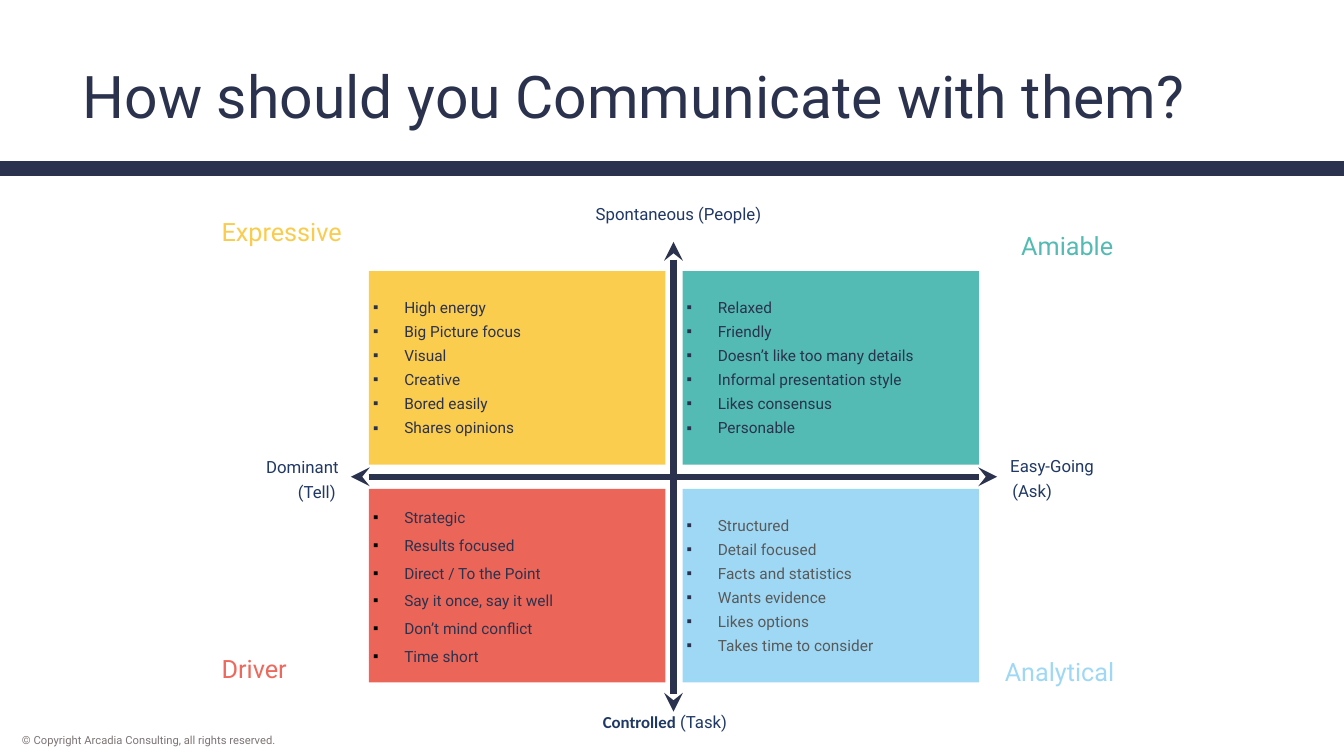
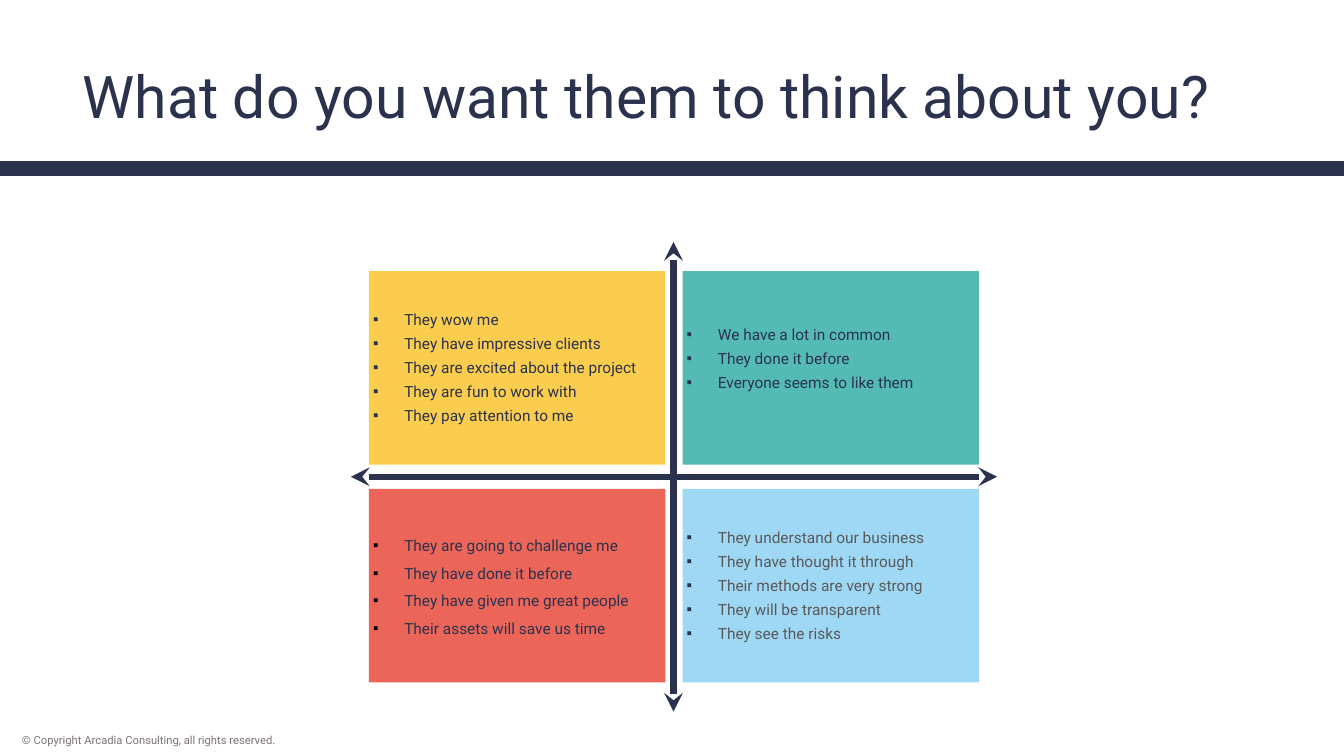
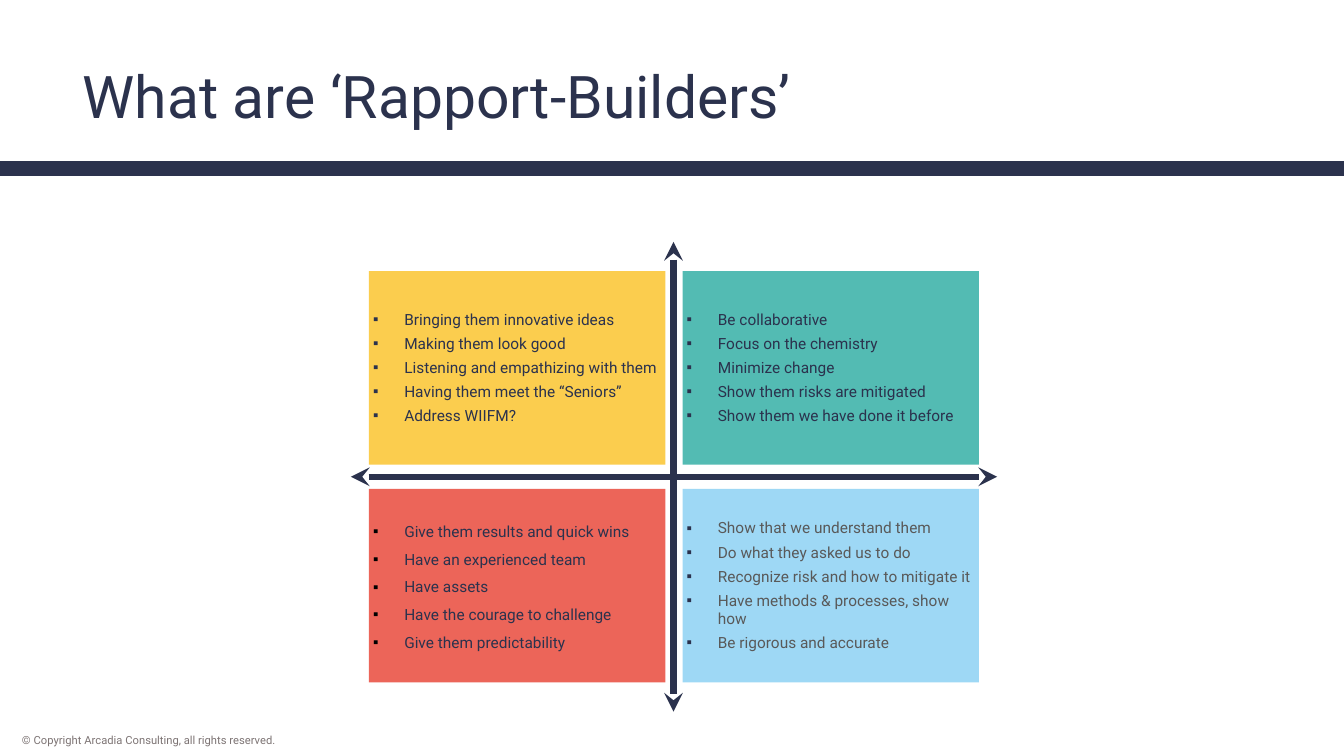
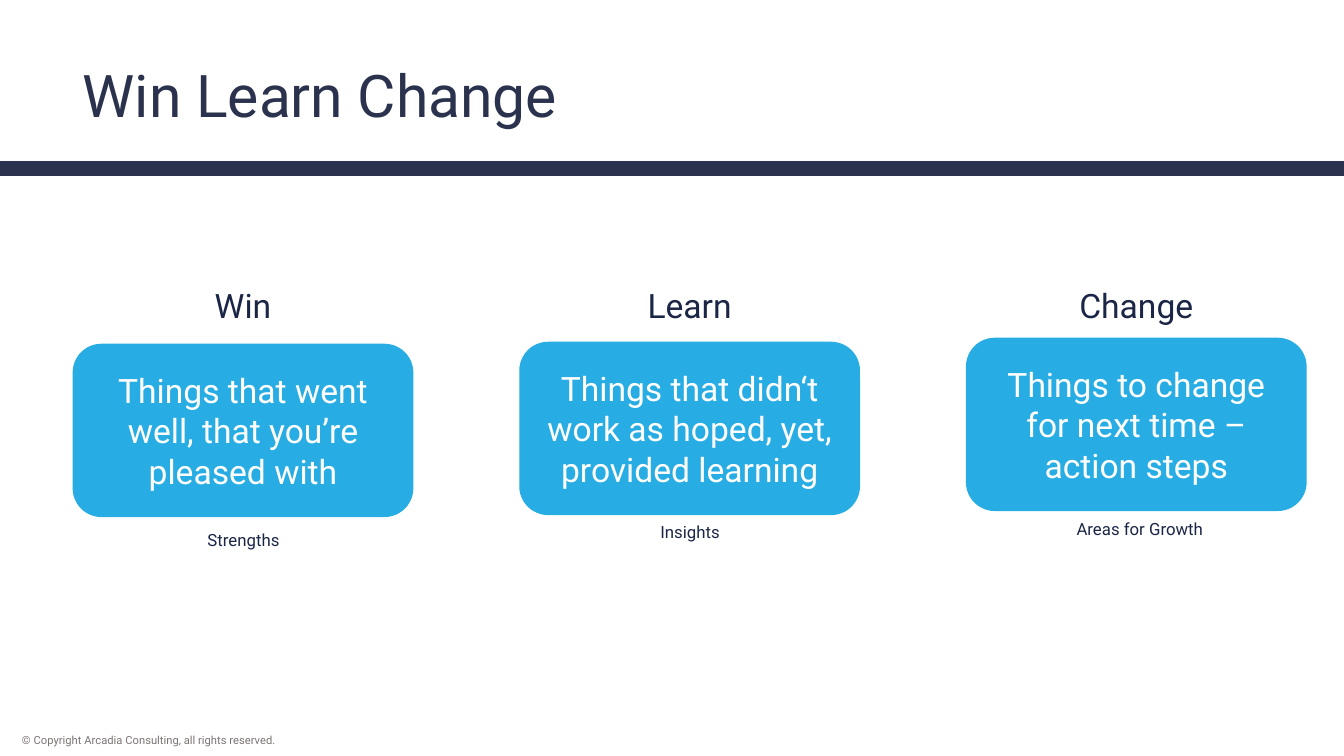
from lxml.etree import SubElement
from pptx import Presentation
from pptx.dml.color import RGBColor
from pptx.enum.shapes import MSO_CONNECTOR, MSO_SHAPE
from pptx.enum.text import MSO_ANCHOR, MSO_AUTO_SIZE, PP_ALIGN
from pptx.oxml.ns import qn
from pptx.util import Pt

SCALE = 9144  # EMU in one px, 100 px to the inch
WIDE, HIGH = 1333, 750
FACE = "Roboto"
NAVY, INK, AXIS, GREY = "2B324D", "1B2646", "203864", "595959"
LEFT, MID, RIGHT = PP_ALIGN.LEFT, PP_ALIGN.CENTER, PP_ALIGN.RIGHT

# fill, text colour, bullet colour, line spacing, space before, bottom inset
QUADS = [
    ("FBCD4E", NAVY, NAVY, 1, 4, 5),
    ("53BBB3", NAVY, NAVY, 1, 4, 5),
    ("EC6559", NAVY, "000000", 1.5, 0, 11),
    ("9ED8F5", GREY, NAVY, 1, 4, 5),
]

STYLES = [
    ["High energy", "Big Picture focus", "Visual", "Creative",
     "Bored easily", "Shares opinions"],
    ["Relaxed", "Friendly", "Doesn’t like too many details",
     "Informal presentation style", "Likes consensus", "Personable"],
    ["Strategic", "Results focused", "Direct / To the Point",
     "Say it once, say it well", "Don’t mind conflict", "Time short"],
    ["Structured", "Detail focused", "Facts and statistics",
     "Wants evidence", "Likes options", "Takes time to consider"],
]
VIEWS = [
    ["They wow me", "They have impressive clients",
     "They are excited about the project", "They are fun to work with",
     "They pay attention to me"],
    ["We have a lot in common", "They done it before",
     "Everyone seems to like them"],
    ["They are going to challenge me", "They have done it before",
     "They have given me great people", "Their assets will save us time"],
    ["They understand our business", "They have thought it through",
     "Their methods are very strong", "They will be transparent",
     "They see the risks"],
]
BONDS = [
    ["Bringing them innovative ideas", "Making them look good",
     "Listening and empathizing with them", "Having them meet the “Seniors”",
     "Address WIIFM?"],
    ["Be collaborative", "Focus on the chemistry", "Minimize change",
     "Show them risks are mitigated", "Show them we have done it before"],
    ["Give them results and quick wins", "Have an experienced team",
     "Have assets", "Have the courage to challenge",
     "Give them predictability"],
    ["Show that we understand them", "Do what they asked us to do",
     "Recognize risk and how to mitigate it",
     "Have methods & processes, show how", "Be rigorous and accurate"],
]

TIGHT = (4, 4, 4, 4)
ENDS = [
    ("Spontaneous (People)", (581, 198, 184, 28), MID),
    ("Easy-Going", (998, 448, 257, 32), LEFT),
    ("(Ask)", (1000, 473, 75, 30), LEFT),
    ("(Tell)", (263, 474, 74, 30), RIGHT),
    ("Dominant", (224, 449, 116, 30), RIGHT),
]
NAMES = [
    ("Expressive", (210, 210, 227, 37), LEFT, "FACC4E"),
    ("Amiable", (980, 224, 134, 35), RIGHT, "53BBB3"),
    ("Analytical", (864, 646, 251, 49), RIGHT, "9FD8F4"),
    ("Driver", (210, 643, 164, 34), LEFT, "ED685D"),
]
# head, card text, card top, caption, caption left, caption top
CARDS = [
    ("Win", "Things that went\vwell, that you’re pleased with", 341,
     "Strengths", 104, 521),
    ("Learn", "Things that didn‘t work as hoped, yet, provided learning", 339,
     "Insights", 547, 513),
    ("Change", "Things to change\vfor next time –\vaction steps", 335,
     "Areas for Growth", 993, 510),
]


def px(*nums):
    return [n * SCALE for n in nums]


def tint(code):
    return RGBColor.from_string(code)


def style(font, size, color, face=FACE, bold=False):
    font.size, font.name, font.bold = Pt(size), face, bold
    font.color.rgb = tint(color)


def inset(frame, sides):
    (frame.margin_left, frame.margin_top,
     frame.margin_right, frame.margin_bottom) = px(*sides)


def label(slide, text, box, size, color, align=LEFT, sides=(10, 5, 10, 5)):
    """Add one line of text and return its shape."""
    shape = slide.shapes.add_textbox(*px(*box))
    frame = shape.text_frame
    frame.word_wrap = True
    inset(frame, sides)
    frame.text = text
    para = frame.paragraphs[0]
    para.alignment = align
    style(para.runs[0].font, size, color)
    return shape


def block(slide, kind, box, fill):
    shape = slide.shapes.add_shape(kind, *px(*box))
    shape.shadow.inherit = False
    shape.fill.solid()
    shape.fill.fore_color.rgb = tint(fill)
    shape.line.fill.background()
    shape.text_frame.word_wrap = True
    shape.text_frame.vertical_anchor = MSO_ANCHOR.MIDDLE
    return shape


def rule(slide, ends, width, heads=False):
    """Draw a straight line, with an arrowhead at both ends if asked."""
    line = slide.shapes.add_connector(MSO_CONNECTOR.STRAIGHT, *px(*ends))
    line.line.width = Pt(width)
    line.line.color.rgb = tint(NAVY)
    if heads:
        for tag in ("a:headEnd", "a:tailEnd"):
            SubElement(line.line._get_or_add_ln(), qn(tag), type="stealth")
    SubElement(line.element.spPr, qn("a:effectLst"))
    return line


def bullet(para, color):
    props = para._p.get_or_add_pPr()
    props.set("marL", str(31 * SCALE))
    props.set("indent", str(-31 * SCALE))
    paint = SubElement(props, qn("a:buClr"))
    SubElement(paint, qn("a:srgbClr"), val=color)
    SubElement(props, qn("a:buFont"), typeface="Arial")
    SubElement(props, qn("a:buChar"), char="▪")


def dress(layout, slide):
    """Put the title place, band and footer on the layout, by way of a slide."""
    title = layout.placeholders[0]
    title.left, title.top, title.width, title.height = px(72, 32, 1188, 102)
    band = rule(slide, (0, 167, WIDE, 167), 10.5)
    foot = label(slide, "© Copyright Arcadia Consulting, all rights reserved.",
                 (12, 723, 304, 24), 8, "7D7474")
    for num, shape in enumerate((band, foot), 101):
        shape.element.xpath(".//p:cNvPr")[0].set("id", str(num))
        layout.shapes.element.append(shape.element)


def head(slide, text, space=0.8):
    frame = slide.shapes.title.text_frame
    frame.text = text
    frame.auto_size = MSO_AUTO_SIZE.NONE
    frame.vertical_anchor = MSO_ANCHOR.BOTTOM
    para = frame.paragraphs[0]
    para.alignment, para.line_spacing = LEFT, space
    style(para.runs[0].font, 42, NAVY)


def quad(slide, spot, lines, lift=0):
    """Fill one quarter of the grid; lift raises its text."""
    fill, color, mark, space, gap, low = QUADS[spot]
    row, col = divmod(spot, 2)
    box = (366 + 311 * col, 269 + 216 * row, 294, 192)
    frame = block(slide, MSO_SHAPE.RECTANGLE, box, fill).text_frame
    inset(frame, (4, 4, 4, low + lift))
    frame.text = "\n".join(lines)
    for num, para in enumerate(frame.paragraphs):
        bullet(para, mark)
        para.alignment, para.line_spacing = LEFT, space
        para.space_before = Pt(gap if num else 0)
        style(para.runs[0].font, 11, color)


def matrix(slide, title, lists, lifts=(0, 0, 0, 0)):
    head(slide, title)
    for spot, lines in enumerate(lists):
        quad(slide, spot, lines, lifts[spot])
    rule(slide, (668, 240, 668, 706), 4.5, True)
    rule(slide, (348, 473, 989, 473), 4.5, True)


def legend(slide):
    """Name the ends of the axes and the four quarters."""
    for text, box, align in ENDS:
        label(slide, text, box, 12, AXIS, align, TIGHT)
    task = label(slide, "Controlled", (569, 702, 181, 28), 12, AXIS, MID, TIGHT)
    para = task.text_frame.paragraphs[0]
    style(para.runs[0].font, 12, AXIS, "Calibri", True)
    run = para.add_run()
    run.text = " (Task)"
    style(run.font, 12, AXIS)
    for text, box, align, color in NAMES:
        label(slide, text, box, 18, color, align)


def cards(slide):
    for num, (name, text, top, note, left, low) in enumerate(CARDS):
        edge = 72 + 443 * num
        frame = block(slide, MSO_SHAPE.ROUNDED_RECTANGLE,
                      (edge, top, 338, 172), "27ADE4").text_frame
        frame.text = text
        para = frame.paragraphs[0]
        para.alignment = MID
        for run in para.runs:
            style(run.font, 24, "FFFFFF")
        label(slide, name, (edge, 278, 338, 50), 24, INK, MID)
        label(slide, note, (left, low, 275, 30), 12, INK, MID)


def main():
    deck = Presentation()
    deck.slide_width, deck.slide_height = px(WIDE, HIGH)
    layout = deck.slide_layouts[5]
    first, second, third, fourth = [
        deck.slides.add_slide(layout) for _ in range(4)]
    dress(layout, first)

    matrix(first, "How should you Communicate with them?", STYLES)
    legend(first)
    matrix(second, "What do you want them to think about you?", VIEWS,
           (0, 18, 0, 0))
    matrix(third, "What are ‘Rapport-Builders’", BONDS)
    head(fourth, "Win Learn Change", 0.9)
    cards(fourth)
    deck.save("out.pptx")


if __name__ == "__main__":
    main()
